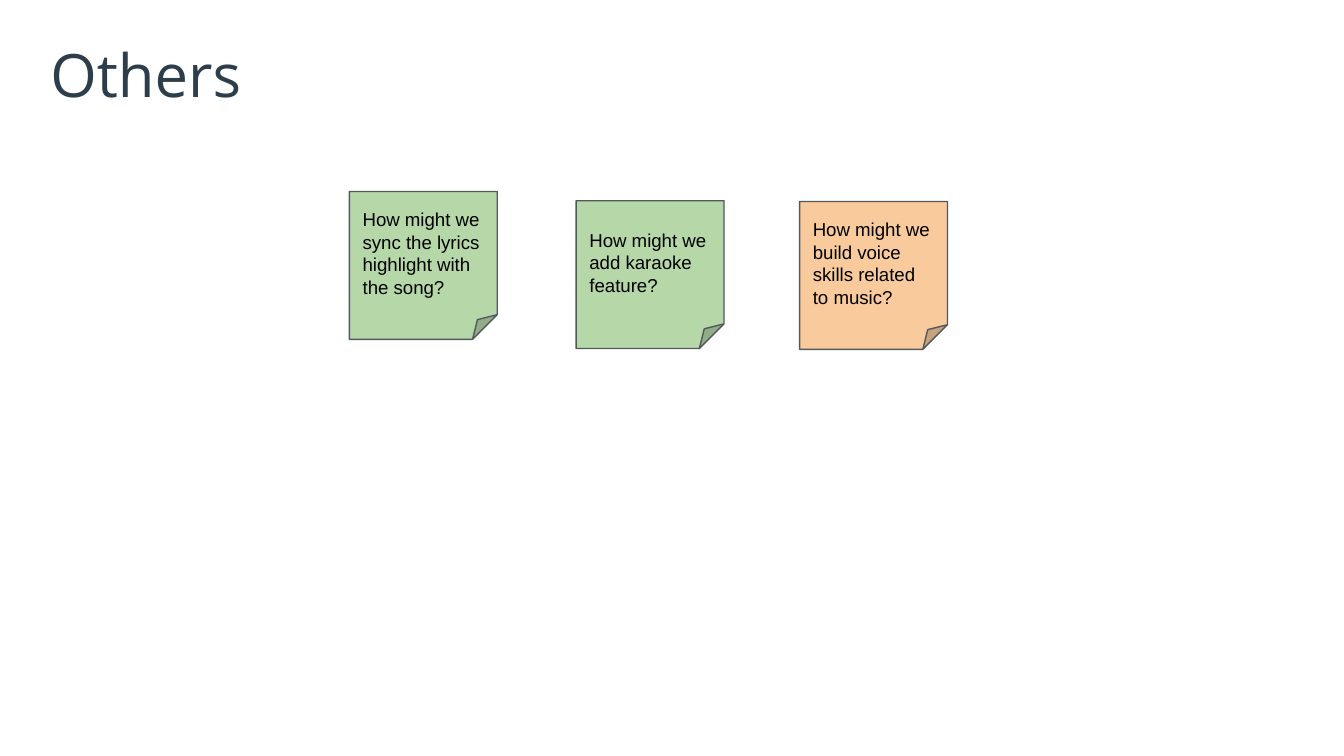
from pptx import Presentation
from pptx.dml.color import RGBColor
from pptx.enum.shapes import MSO_SHAPE as Shape
from pptx.enum.text import MSO_ANCHOR as Anchor, PP_ALIGN as Align
from pptx.util import Emu, Pt

# Content: text, left, top, fill
TITLE = "Others"
GREEN, ORANGE = "B6D7A8", "F9CB9C"
NOTES = [
    ("How might we build voice skills related to music?", 952, 240, ORANGE),
    ("How might we add karaoke feature?", 686, 239, GREEN),
    ("How might we sync the lyrics highlight with the song?", 416, 228, GREEN),
]
SIDE = 176


def px(n):
    return Emu(n * 5715)  # 160 px to the inch


def color(code):
    return RGBColor.from_string(code)


def write(shape, text, size, face, code, inset):
    frame = shape.text_frame
    frame.text = text
    frame.word_wrap = True
    frame.vertical_anchor = Anchor.MIDDLE
    frame.margin_left = frame.margin_right = px(inset)
    frame.margin_top = frame.margin_bottom = px(inset)
    para = frame.paragraphs[0]
    para.alignment = Align.LEFT
    font = para.runs[0].font
    font.size, font.name = Pt(size), face
    font.color.rgb = color(code)


def add_note(slide, text, left, top, fill):
    note = slide.shapes.add_shape(
        Shape.FOLDED_CORNER, px(left), px(top), px(SIDE), px(SIDE))
    note.shadow.inherit = False
    note.fill.solid()
    note.fill.fore_color.rgb = color(fill)
    note.line.color.rgb = color("53585F")
    note.line.width = Pt(0.75)
    write(note, text, 10, "Arial", "000000", 16)


def main():
    deck = Presentation()
    deck.slide_width, deck.slide_height = px(1600), px(900)
    slide = deck.slides.add_slide(deck.slide_layouts[5])

    # Title
    title = slide.shapes.title
    title.left, title.top, title.width, title.height = map(px, (54, 37, 1491, 101))
    write(title, TITLE, 32, "Open Sans", "2D3D4A", 6)

    # Sticky notes
    for note in NOTES:
        add_note(slide, *note)

    deck.save("out.pptx")


if __name__ == "__main__":
    main()
